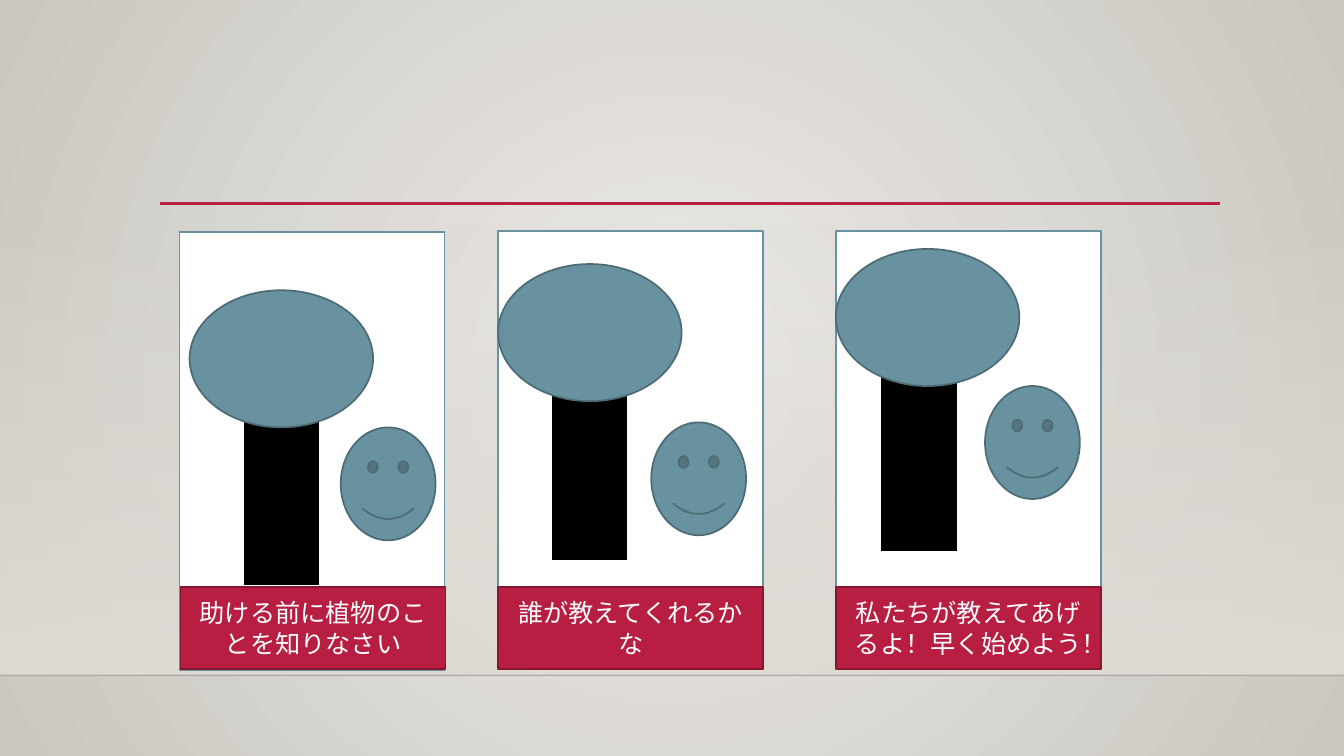
from lxml.etree import SubElement
from pptx import Presentation
from pptx.dml.color import RGBColor
from pptx.enum.shapes import MSO_CONNECTOR, MSO_SHAPE as Preset
from pptx.enum.text import MSO_ANCHOR, PP_ALIGN
from pptx.oxml.ns import qn
from pptx.util import Inches, Pt

WIDTH, HEIGHT = 13.33, 7.5
FLOOR = 6.7
PANEL_SIZE = (2.63, 4.35)
TRUNK_SIZE = (0.77, 2.01)
CROWN_SIZE = (1.82, 1.36)
FACE_SIZE = (0.94, 1.12)
CAPTION_SIZE = (2.63, 0.82)
CAPTION_TOP = 5.82

# Each scene: caption and the top left corner of its parts
SCENES = [
    {"text": "助ける前に植物のことを知りなさい", "panel": (1.78, 2.3),
     "trunk": (2.41, 3.81), "crown": (1.88, 2.88), "face": (3.38, 4.24),
     "caption_left": 1.79},
    {"text": "誰が教えてくれるかな", "panel": (4.94, 2.29),
     "trunk": (5.46, 3.56), "crown": (4.94, 2.62), "face": (6.46, 4.19),
     "caption_left": 4.94},
    {"text": "私たちが教えてあげるよ！早く始めよう！", "panel": (8.29, 2.29),
     "trunk": (8.73, 3.47), "crown": (8.29, 2.47), "face": (9.77, 3.83),
     "caption_left": 8.29},
]

THEME = {
    "font": "Calibri", "size": 18, "text": "FFFFFF",
    "backdrop": ("ECEAE7", "CAC7C1"), "wall": ("DFDBD5", "DFDBD5"),
    "floor": "000001", "accent": "B71E42",
    # fill, line, line width
    "panel": ("FFFFFF", "6892A0", 1.25),
    "trunk": ("000000", "FFFFFF", 1.75),
    "plant": ("6892A0", "4D6C76", 1.25),
    "caption": ("B71E42", "871631", 1.25),
}


def set_alpha(color_element, percent):
    """Make a colour element partly transparent."""
    SubElement(color_element, qn("a:alpha")).set("val", str(percent * 1000))


def set_gradient(fill, colors):
    """Give a fill a two-stop gradient from top to bottom."""
    fill.gradient()
    fill.gradient_angle = 270
    for stop, color in zip(fill.gradient_stops, colors):
        stop.color.rgb = RGBColor.from_string(color)


def paint_background(page):
    """Paint the page with a gradient spreading from its centre."""
    set_gradient(page.background.fill, THEME["backdrop"])
    gradient = next(page.element.iter(qn("a:gradFill")))
    gradient.remove(gradient.find(qn("a:lin")))
    circle = SubElement(gradient, qn("a:path"))
    circle.set("path", "circle")
    center = SubElement(circle, qn("a:fillToRect"))
    for side in "ltrb":
        center.set(side, "50000")


def add_wall(page):
    """Add the wall that fades in down to the floor."""
    top = 2.21
    wall = page.shapes.add_shape(Preset.RECTANGLE, 0, Inches(top),
                                 Inches(WIDTH), Inches(FLOOR - top))
    wall.shadow.inherit = False
    wall.line.fill.background()
    set_gradient(wall.fill, THEME["wall"])
    set_alpha(next(wall.element.iter(qn("a:srgbClr"))), 0)


def add_rule(page, left, right, y, color, width):
    """Add a horizontal line and return it."""
    rule = page.shapes.add_connector(MSO_CONNECTOR.STRAIGHT, Inches(left),
                                     Inches(y), Inches(right), Inches(y))
    rule.line.color.rgb = RGBColor.from_string(color)
    rule.line.width = Pt(width)
    SubElement(rule.element.spPr, qn("a:effectLst"))
    return rule


def add_part(page, preset, corner, size, style):
    """Add a preset shape in one of the theme's styles."""
    fill, line, width = THEME[style]
    part = page.shapes.add_shape(preset, *map(Inches, corner + size))
    part.shadow.inherit = False
    part.fill.solid()
    part.fill.fore_color.rgb = RGBColor.from_string(fill)
    part.line.color.rgb = RGBColor.from_string(line)
    part.line.width = Pt(width)
    return part


def add_caption(page, left, text):
    """Add a caption bar with centred text."""
    box = add_part(page, Preset.RECTANGLE, (left, CAPTION_TOP), CAPTION_SIZE,
                   "caption")
    frame = box.text_frame
    frame.text = text
    frame.word_wrap = True
    frame.vertical_anchor = MSO_ANCHOR.MIDDLE
    para = frame.paragraphs[0]
    para.alignment = PP_ALIGN.CENTER
    font = para.runs[0].font
    font.name, font.size = THEME["font"], Pt(THEME["size"])
    font.color.rgb = RGBColor.from_string(THEME["text"])


def add_scene(page, scene):
    """Add a panel with a tree, a face and a caption."""
    add_part(page, Preset.RECTANGLE, scene["panel"], PANEL_SIZE, "panel")
    add_part(page, Preset.RECTANGLE, scene["trunk"], TRUNK_SIZE, "trunk")
    add_part(page, Preset.OVAL, scene["crown"], CROWN_SIZE, "plant")
    add_part(page, Preset.SMILEY_FACE, scene["face"], FACE_SIZE, "plant")
    add_caption(page, scene["caption_left"], scene["text"])


deck = Presentation()
deck.slide_width, deck.slide_height = Inches(WIDTH), Inches(HEIGHT)
page = deck.slides.add_slide(deck.slide_layouts[6])
paint_background(page)
add_wall(page)
floor_line = add_rule(page, 0, WIDTH, FLOOR, THEME["floor"], 1)
set_alpha(next(floor_line.element.iter(qn("a:srgbClr"))), 20)
add_rule(page, 1.59, 12.1, 2.02, THEME["accent"], 2.5)
for scene in SCENES:
    add_scene(page, scene)
deck.save("out.pptx")
